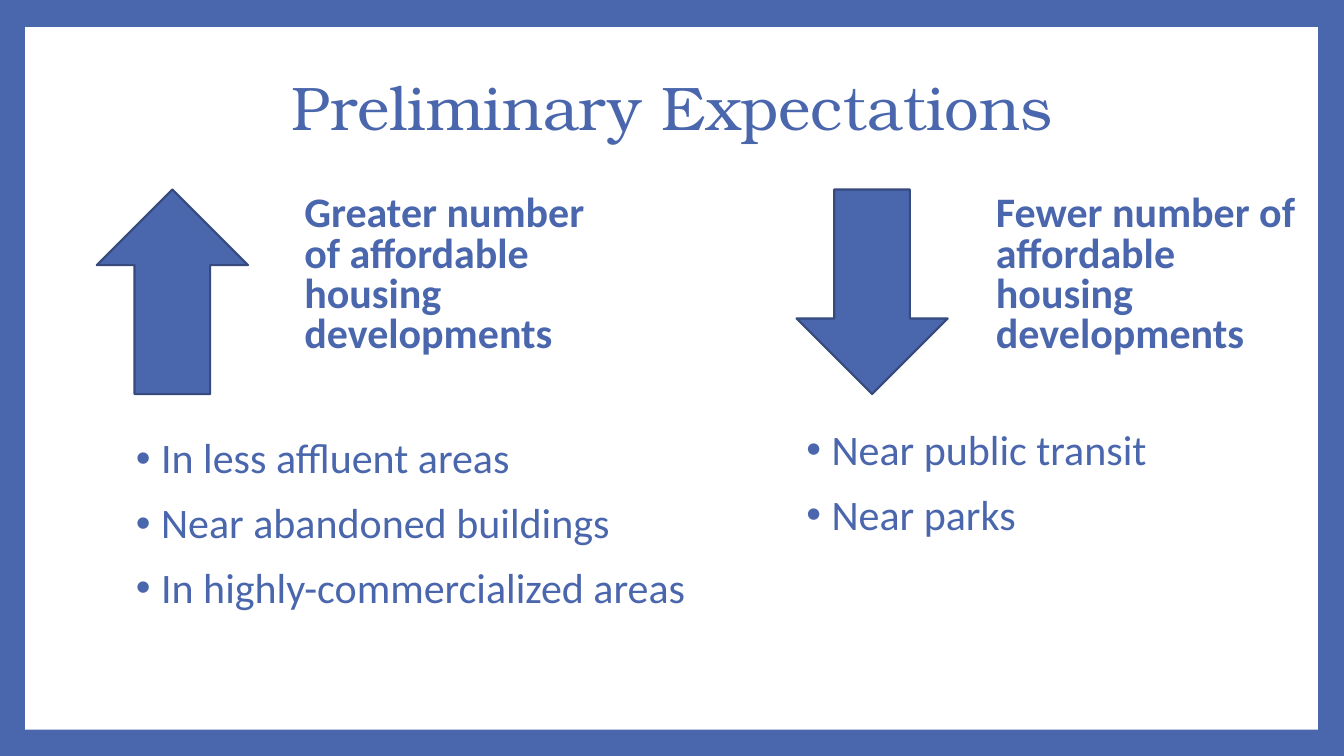
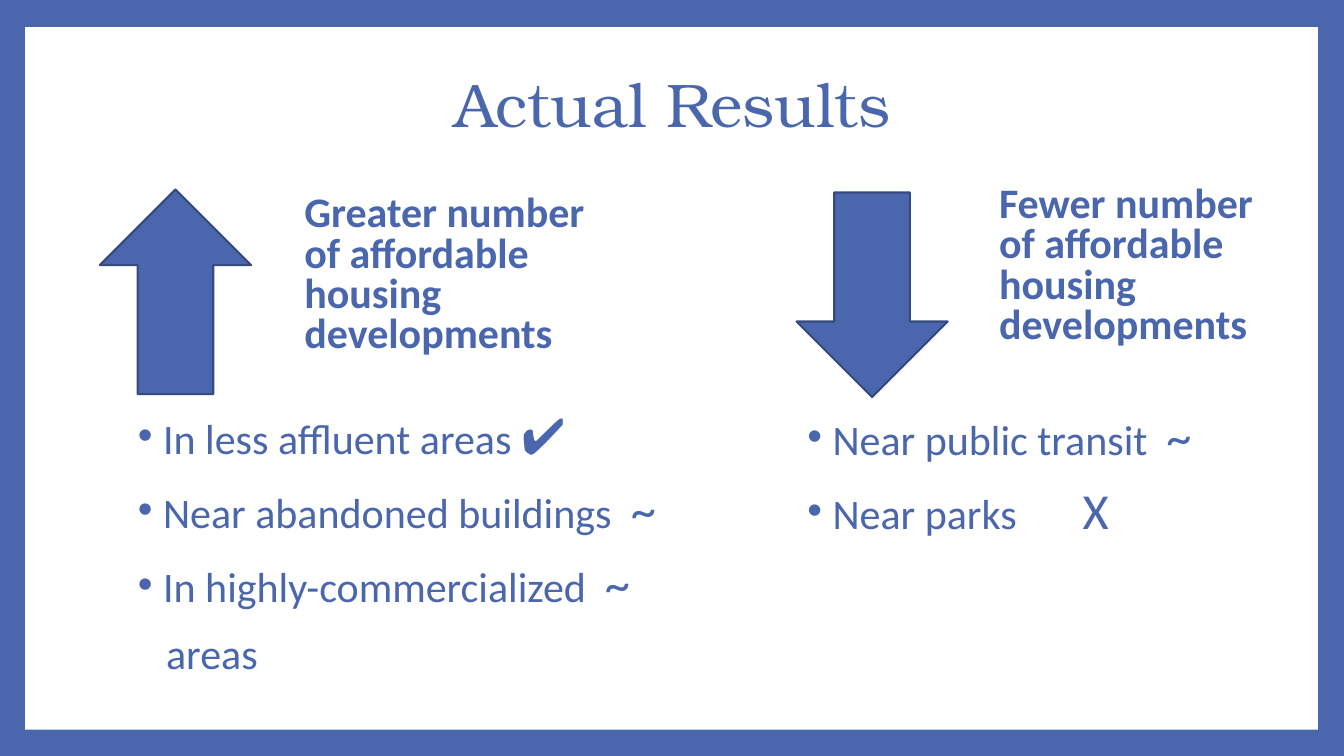
from lxml.etree import SubElement
from pptx import Presentation
from pptx.dml.color import RGBColor
from pptx.enum.shapes import MSO_SHAPE as SHAPE
from pptx.enum.text import MSO_ANCHOR as ANCHOR, PP_ALIGN as ALIGN
from pptx.oxml.ns import qn
from pptx.util import Pt

PX = 9144  # 100 px to the inch
COLORS = {"blue": "4A66AC", "outline": "364A7D", "white": "FFFFFF"}
RGB = {name: RGBColor.from_string(value) for name, value in COLORS.items()}
TITLE_FONT, BODY_FONT = "TeX Gyre Bonum", "Calibri"
ARROW_SIZE = (150, 203)
BULLET_MARGIN, BULLET_INDENT = 25, -29

# Arrows: shape, left, top. Headings: text, box, margin.
# Lists: box, then items of (text, mark, tab position of the mark, bulleted).
SLIDES = [
    {
        "title": ("Preliminary Expectations", 36),
        "arrows": [(SHAPE.UP_ARROW, 96, 188), (SHAPE.DOWN_ARROW, 790, 188)],
        "headings": [
            ("Greater number of affordable housing developments", (287, 189, 324, 125), 5),
            ("Fewer number of affordable housing developments", (978, 189, 324, 125), 0),
        ],
        "lists": [
            ((125, 429, 590, 223), [
                ("In less affluent areas", "", 0, True),
                ("Near abandoned buildings", "", 0, True),
                ("In highly-commercialized areas", "", 0, True),
            ]),
            ((790, 421, 410, 238), [
                ("Near public transit", "", 0, True),
                ("Near parks", "", 0, True),
            ]),
        ],
    },
    {
        "title": ("Actual Results", 33),
        "arrows": [(SHAPE.UP_ARROW, 99, 188), (SHAPE.DOWN_ARROW, 790, 191)],
        "headings": [
            ("Greater number of affordable housing developments", (287, 189, 322, 125), 5),
            ("Fewer number of affordable housing developments", (976, 180, 291, 125), 5),
        ],
        "lists": [
            ((127, 403, 620, 358), [
                ("In less affluent areas ", "✔", 0, True),
                ("Near abandoned buildings", "~", 489, True),
                ("In highly-commercialized", "~", 463, True),
                ("areas", "", 0, False),
            ]),
            ((791, 404, 442, 238), [
                ("Near public transit", "~", 356, True),
                ("Near parks", "X", 273, True),
            ]),
        ],
    },
]


def add_text_box(slide, box):
    text_frame = slide.shapes.add_textbox(*(value * PX for value in box)).text_frame
    text_frame.word_wrap = True
    return text_frame


def format_paragraph(paragraph, size, font_name, spacing, bold=False):
    paragraph.line_spacing = spacing
    for run in paragraph.runs:
        run.font.size = Pt(size)
        run.font.name = font_name
        run.font.bold = bold
        run.font.color.rgb = RGB["blue"]


presentation = Presentation()
presentation.slide_width, presentation.slide_height = 1333 * PX, 750 * PX

# Shared blue border
background = presentation.slide_master.background.fill
background.solid()
background.fore_color.rgb = RGB["blue"]

for content in SLIDES:
    slide = presentation.slides.add_slide(presentation.slide_layouts[6])

    # White panel
    panel = slide.shapes.add_shape(SHAPE.RECTANGLE, 25 * PX, 27 * PX, 1282 * PX, 697 * PX)
    panel.shadow.inherit = False
    panel.fill.solid()
    panel.fill.fore_color.rgb = RGB["white"]
    panel.line.fill.background()

    # Title
    title, top = content["title"]
    text_frame = add_text_box(slide, (127, top, 1080, 148))
    text_frame.vertical_anchor = ANCHOR.MIDDLE
    text_frame.text = title
    text_frame.paragraphs[0].alignment = ALIGN.CENTER
    format_paragraph(text_frame.paragraphs[0], 44, TITLE_FONT, 0.9)

    # Arrows
    for kind, left, top in content["arrows"]:
        arrow = slide.shapes.add_shape(kind, *(value * PX for value in (left, top, *ARROW_SIZE)))
        arrow.shadow.inherit = False
        arrow.fill.solid()
        arrow.fill.fore_color.rgb = RGB["blue"]
        arrow.line.color.rgb = RGB["outline"]
        arrow.line.width = Pt(1.5)

    # Headings beside the arrows
    for heading, box, margin in content["headings"]:
        text_frame = add_text_box(slide, box)
        text_frame.text = heading
        paragraph = text_frame.paragraphs[0]
        paragraph._p.get_or_add_pPr().set("marL", str(margin * PX))
        format_paragraph(paragraph, 30, BODY_FONT, 0.8, bold=True)

    # Lists with their result marks
    for box, items in content["lists"]:
        text_frame = add_text_box(slide, box)
        for index, (text, mark, tab, bulleted) in enumerate(items):
            paragraph = text_frame.add_paragraph() if index else text_frame.paragraphs[0]
            properties = paragraph._p.get_or_add_pPr()
            properties.set("marL", str((BULLET_MARGIN if bulleted else 28) * PX))
            if bulleted:
                properties.set("indent", str(BULLET_INDENT * PX))
                bullet_color = SubElement(properties, qn("a:buClr"))
                SubElement(bullet_color, qn("a:srgbClr"), val=COLORS["blue"])
                SubElement(properties, qn("a:buFont"), typeface="Arial")
                SubElement(properties, qn("a:buChar"), char="•")
            if tab:
                tabs = SubElement(properties, qn("a:tabLst"))
                SubElement(tabs, qn("a:tab"), pos=str(tab * PX), algn="l")
            paragraph.add_run().text = text + ("\t" if tab else "")
            if mark:
                paragraph.add_run().text = mark
            format_paragraph(paragraph, 30, BODY_FONT, 0.9)
            if mark:
                paragraph.runs[-1].font.size = Pt(36)
            if index:
                paragraph.space_before = Pt(14)

presentation.save("out.pptx")
